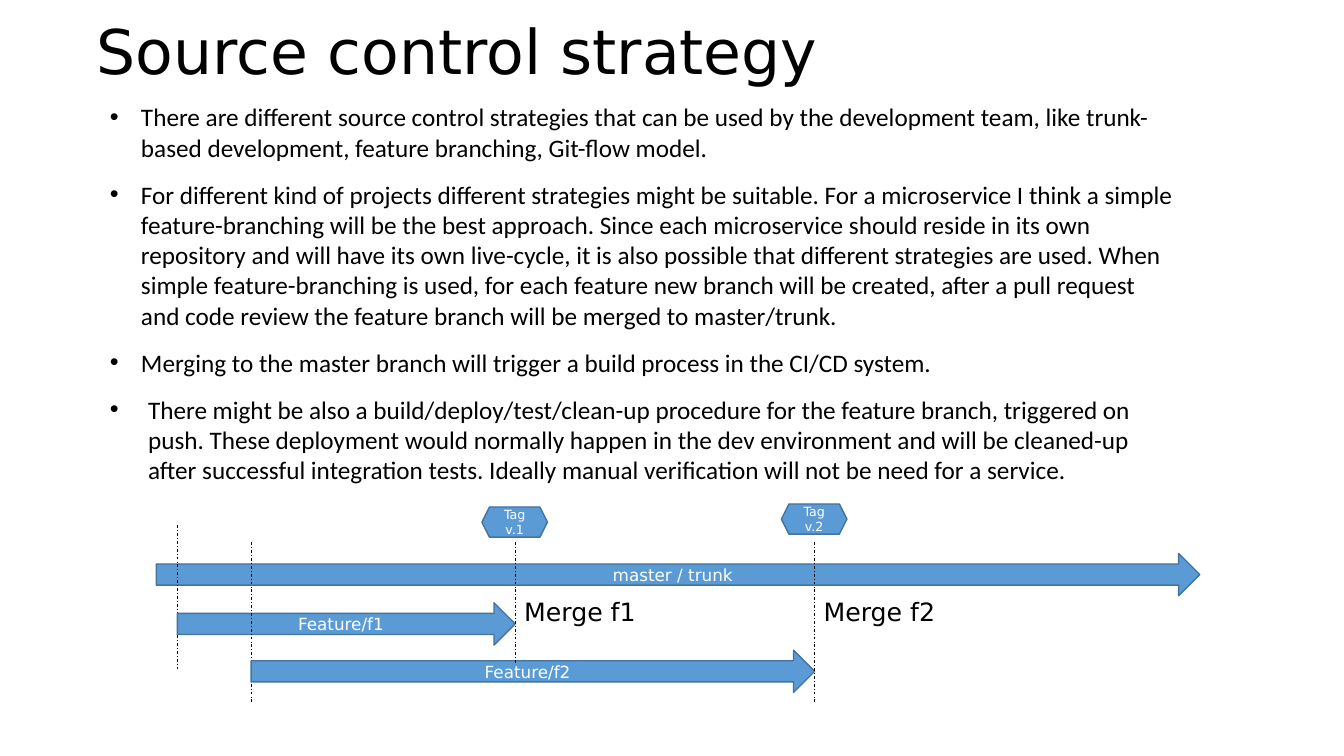
from dataclasses import dataclass

from lxml import etree
from pptx import Presentation
from pptx.dml.color import RGBColor
from pptx.enum.dml import MSO_LINE
from pptx.enum.shapes import MSO_CONNECTOR, MSO_SHAPE
from pptx.enum.text import MSO_ANCHOR, PP_ALIGN
from pptx.oxml.ns import qn
from pptx.util import Inches, Pt

ARROW, HEXAGON = MSO_SHAPE.RIGHT_ARROW, MSO_SHAPE.HEXAGON
STRAIGHT, DASH_DOT = MSO_CONNECTOR.STRAIGHT, MSO_LINE.DASH_DOT
TOP, MIDDLE = MSO_ANCHOR.TOP, MSO_ANCHOR.MIDDLE
LEFT, CENTER = PP_ALIGN.LEFT, PP_ALIGN.CENTER


@dataclass(frozen=True)
class Theme:
    ink: RGBColor = RGBColor.from_string("000000")
    paper: RGBColor = RGBColor.from_string("FFFFFF")
    fill: RGBColor = RGBColor.from_string("5B9BD5")
    outline: RGBColor = RGBColor.from_string("43739E")
    display_font: str = "DejaVu Sans"
    body_font: str = "Calibri"
    title_size: int = 44
    body_size: int = 18
    branch_size: int = 12
    tag_size: int = 9


def write(paragraph, text, *, font, size, color, align=LEFT):
    paragraph.alignment = align
    run = paragraph.add_run()
    run.text = text
    run.font.name = font
    run.font.size = Pt(size)
    run.font.color.rgb = color


class SlideBuilder:
    def __init__(self, slide, theme):
        self.shapes = slide.shapes
        self.theme = theme

    def frame(self, box, wrap=True, anchor=TOP):
        text_frame = self.shapes.add_textbox(*map(Inches, box)).text_frame
        text_frame.word_wrap = wrap
        text_frame.vertical_anchor = anchor
        return text_frame

    def title(self, text, box):
        paragraph = self.frame(box, anchor=MIDDLE).paragraphs[0]
        paragraph.line_spacing = 0.9
        write(paragraph, text, font=self.theme.display_font,
              size=self.theme.title_size, color=self.theme.ink)

    def label(self, text, box):
        write(self.frame(box, wrap=False).paragraphs[0], text,
              font=self.theme.display_font, size=self.theme.body_size,
              color=self.theme.ink)

    def bullets(self, items, box):
        body = self.frame(box)
        for index, (text, indent) in enumerate(items):
            paragraph = body.add_paragraph() if index else body.paragraphs[0]
            paragraph.space_after = Pt(12)
            write(paragraph, text, font=self.theme.body_font,
                  size=self.theme.body_size, color=self.theme.ink)
            properties = paragraph._p.get_or_add_pPr()
            properties.set("marL", str(Inches(indent)))
            properties.set("indent", str(-Inches(indent)))
            etree.SubElement(properties, qn("a:buFont")).set("typeface", "Arial")
            etree.SubElement(properties, qn("a:buChar")).set("char", "•")

    def block(self, kind, text, box, size):
        shape = self.shapes.add_shape(kind, *map(Inches, box))
        shape.shadow.inherit = False
        shape.fill.solid()
        shape.fill.fore_color.rgb = self.theme.fill
        shape.line.color.rgb = self.theme.outline
        shape.line.width = Pt(1)
        shape.text_frame.word_wrap = True
        shape.text_frame.vertical_anchor = MIDDLE
        write(shape.text_frame.paragraphs[0], text, align=CENTER, size=size,
              font=self.theme.display_font, color=self.theme.paper)

    def branch(self, text, start, end, top):
        self.block(ARROW, text, (start, top, end - start, 0.42),
                   self.theme.branch_size)

    def tag(self, text, center, top):
        self.block(HEXAGON, text, (center - 0.33, top, 0.65, 0.3),
                   self.theme.tag_size)

    def marker(self, x, top, bottom):
        line = self.shapes.add_connector(
            STRAIGHT, *map(Inches, (x, top, x, bottom)))
        line.line.color.rgb = self.theme.ink
        line.line.width = Pt(0.5)
        line.line.dash_style = DASH_DOT
        etree.SubElement(line._element.spPr, qn("a:effectLst"))


STRATEGY_POINTS = [
    ("There are different source control strategies that can be used by the "
     "development team, like trunk-based development, feature branching, "
     "Git-flow model.", 0.31),
    ("For different kind of projects different strategies might be suitable. "
     "For a microservice I think a simple feature-branching will be the best "
     "approach. Since each microservice should reside in its own repository "
     "and will have its own live-cycle, it is also possible that different "
     "strategies are used. When simple feature-branching is used, for each "
     "feature new branch will be created, after a pull request and code review "
     "the feature branch will be merged to master/trunk.", 0.31),
    ("Merging to the master branch will trigger a build process in the CI/CD "
     "system.", 0.31),
    ("There might be also a build/deploy/test/clean-up procedure for the "
     "feature branch, triggered on push. These deployment would normally "
     "happen in the dev environment and will be cleaned-up after successful "
     "integration tests. Ideally manual verification will not be need for a "
     "service.", 0.38),
]
F1_START, F1_MERGE = 1.76, 5.11
F2_START, F2_MERGE = 2.49, 8.08

deck = Presentation()
deck.slide_width, deck.slide_height = Inches(13.33), Inches(7.5)
page = SlideBuilder(deck.slides.add_slide(deck.slide_layouts[6]), Theme())

page.title("Source control strategy", (0.86, 0.04, 11.5, 1))
page.bullets(STRATEGY_POINTS, (0.99, 0.96, 10.78, 3.94))

page.branch("master / trunk", 1.55, 11.9, 5.49)
page.marker(F1_START, 5.21, 6.65)
page.branch("Feature/f1", F1_START, F1_MERGE, 5.98)
page.marker(F2_START, 5.38, 6.98)
page.branch("Feature/f2", F2_START, F2_MERGE, 6.45)

for number, merge, tag_top, marker_bottom in (
        (1, F1_MERGE, 5.03, 6.59), (2, F2_MERGE, 5, 6.98)):
    page.marker(merge, 5.38, marker_bottom)
    page.tag(f"Tag v.{number}", merge, tag_top)
    page.label(f"Merge f{number}", (merge - 0.01, 5.87, 1.32, 0.4))

deck.save("out.pptx")
